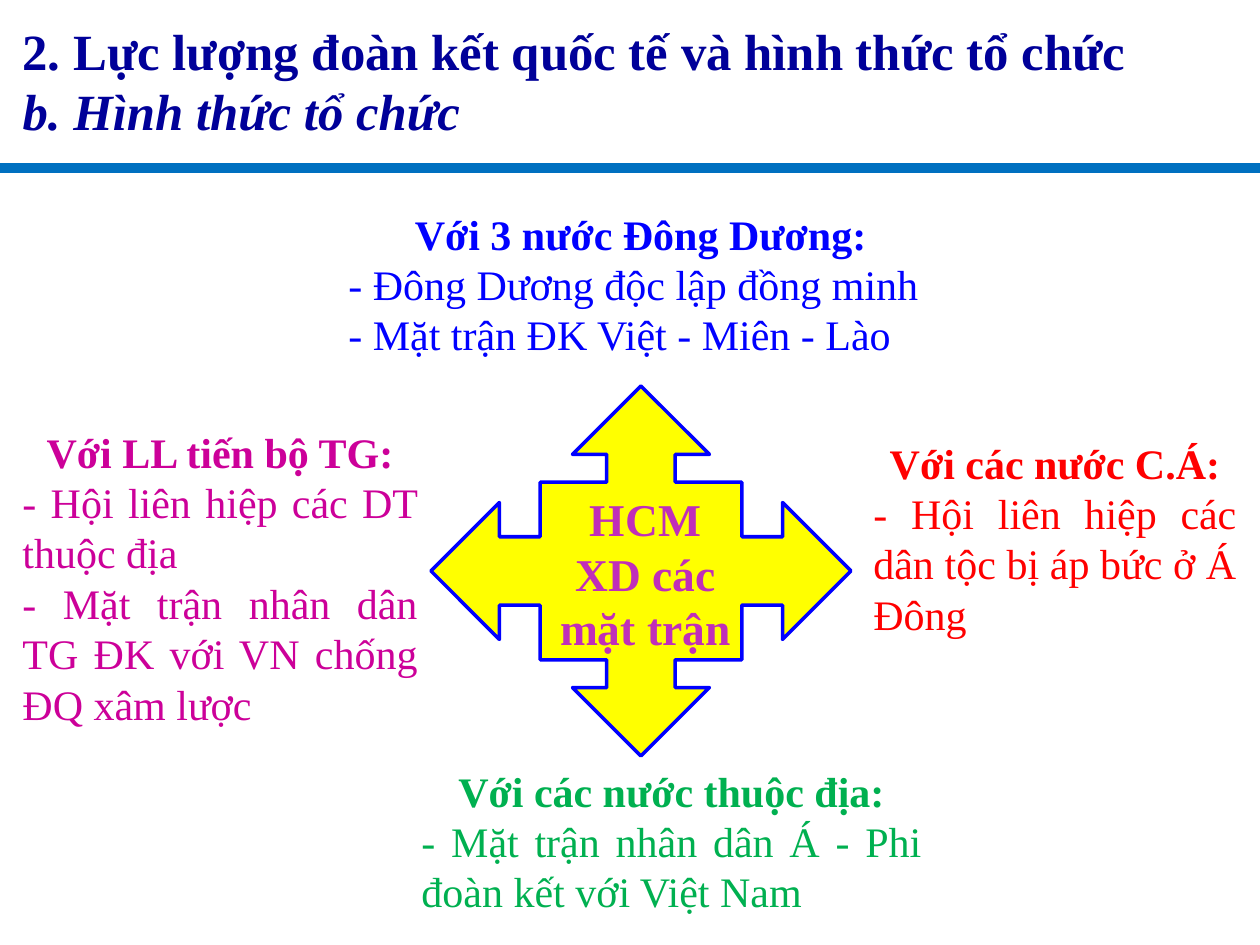
from dataclasses import dataclass
from typing import NamedTuple

from lxml.etree import SubElement
from pptx import Presentation
from pptx.dml.color import RGBColor
from pptx.enum.shapes import MSO_CONNECTOR, MSO_SHAPE
from pptx.enum.text import MSO_ANCHOR, MSO_AUTO_SIZE, PP_ALIGN
from pptx.oxml.ns import qn
from pptx.util import Emu, Pt

PX_PER_INCH = 126
SLIDE_W, SLIDE_H = 1260, 945


@dataclass(frozen=True)
class Theme:
    font: str = "Times New Roman"
    title: str = "000099"
    rule: str = "0070C0"
    arrow_fill: str = "FFFF00"
    arrow_edge: str = "0000FF"
    center: str = "C02EB9"
    indochina: str = "0000FF"
    asia: str = "FF0000"
    colonies: str = "00B050"
    progressive: str = "CC0099"
    title_size: int = 29
    center_size: int = 26
    body_size: int = 24


THEME = Theme()


class Box(NamedTuple):
    left: int
    top: int
    width: int
    height: int


class Line(NamedTuple):
    text: str
    align: PP_ALIGN
    bold: bool = False
    italic: bool = False


@dataclass(frozen=True)
class Front:
    box: Box
    color: str
    heading: str
    points: tuple[str, ...]
    align: PP_ALIGN = PP_ALIGN.JUSTIFY

    def lines(self) -> list[Line]:
        return [Line(self.heading, PP_ALIGN.CENTER, bold=True)] + [
            Line(point, self.align) for point in self.points
        ]


FRONTS = (
    Front(Box(336, 202, 609, 164), THEME.indochina, "Với 3 nước Đông Dương:",
          ("- Đông Dương độc lập đồng minh", "- Mặt trận ĐK Việt - Miên - Lào"),
          PP_ALIGN.LEFT),
    Front(Box(861, 431, 388, 214), THEME.asia, "Với các nước C.Á:",
          ("- Hội liên hiệp các dân tộc bị áp bức ở Á Đông",)),
    Front(Box(409, 759, 525, 164), THEME.colonies, "Với các nước thuộc địa:",
          ("- Mặt trận nhân dân Á - Phi đoàn kết với Việt Nam",)),
    Front(Box(10, 420, 420, 315), THEME.progressive, "Với LL tiến bộ TG:",
          ("- Hội liên hiệp các DT thuộc địa",
           "- Mặt trận nhân dân TG ĐK với VN chống ĐQ xâm lược")),
)


def px(length: int) -> Emu:
    return Emu(round(length * 914400 / PX_PER_INCH))


def rgb(color: str) -> RGBColor:
    return RGBColor.from_string(color)


def place(shape, box: Box) -> None:
    shape.left, shape.top, shape.width, shape.height = map(px, box)


def write(shape, lines: list[Line], size: int, color: str) -> None:
    frame = shape.text_frame
    frame.word_wrap = True
    frame.auto_size = MSO_AUTO_SIZE.NONE
    frame.vertical_anchor = MSO_ANCHOR.TOP
    for index, line in enumerate(lines):
        paragraph = frame.add_paragraph() if index else frame.paragraphs[0]
        paragraph.alignment = line.align
        run = paragraph.add_run()
        run.text = line.text
        run.font.name = THEME.font
        run.font.size = Pt(size)
        run.font.bold = line.bold
        run.font.italic = line.italic
        run.font.color.rgb = rgb(color)


def add_text(slide, box: Box, lines: list[Line], size: int, color: str) -> None:
    write(slide.shapes.add_textbox(*map(px, box)), lines, size, color)


def add_title(slide) -> None:
    title = slide.shapes.title
    place(title, Box(10, 13, 1229, 135))
    write(title, [
        Line("2. Lực lượng đoàn kết quốc tế và hình thức tổ chức",
             PP_ALIGN.JUSTIFY, bold=True),
        Line("b. Hình thức tổ chức", PP_ALIGN.JUSTIFY, bold=True, italic=True),
    ], THEME.title_size, THEME.title)


def add_rule(slide, y: int) -> None:
    rule = slide.shapes.add_connector(
        MSO_CONNECTOR.STRAIGHT, px(0), px(y), px(SLIDE_W), px(y))
    rule.line.color.rgb = rgb(THEME.rule)
    rule.line.width = Pt(6)
    SubElement(rule.element.spPr, qn("a:effectLst"))


def add_center(slide) -> None:
    arrows = slide.shapes.add_shape(
        MSO_SHAPE.QUAD_ARROW_CALLOUT, *map(px, Box(431, 386, 420, 370)))
    arrows.shadow.inherit = False
    for index, ratio in enumerate((0.185, 0.185, 0.185, 0.48)):
        arrows.adjustments[index] = ratio
    arrows.fill.solid()
    arrows.fill.fore_color.rgb = rgb(THEME.arrow_fill)
    arrows.line.color.rgb = rgb(THEME.arrow_edge)
    arrows.line.width = Pt(2)
    add_text(slide, Box(546, 485, 199, 176),
             [Line("HCM XD các mặt trận", PP_ALIGN.CENTER, bold=True)],
             THEME.center_size, THEME.center)


def main() -> None:
    presentation = Presentation()
    presentation.slide_width, presentation.slide_height = px(SLIDE_W), px(SLIDE_H)
    slide = presentation.slides.add_slide(presentation.slide_layouts[5])
    add_title(slide)
    add_rule(slide, 168)
    add_center(slide)
    for front in FRONTS:
        add_text(slide, front.box, front.lines(), THEME.body_size, front.color)
    presentation.save("out.pptx")


if __name__ == "__main__":
    main()
